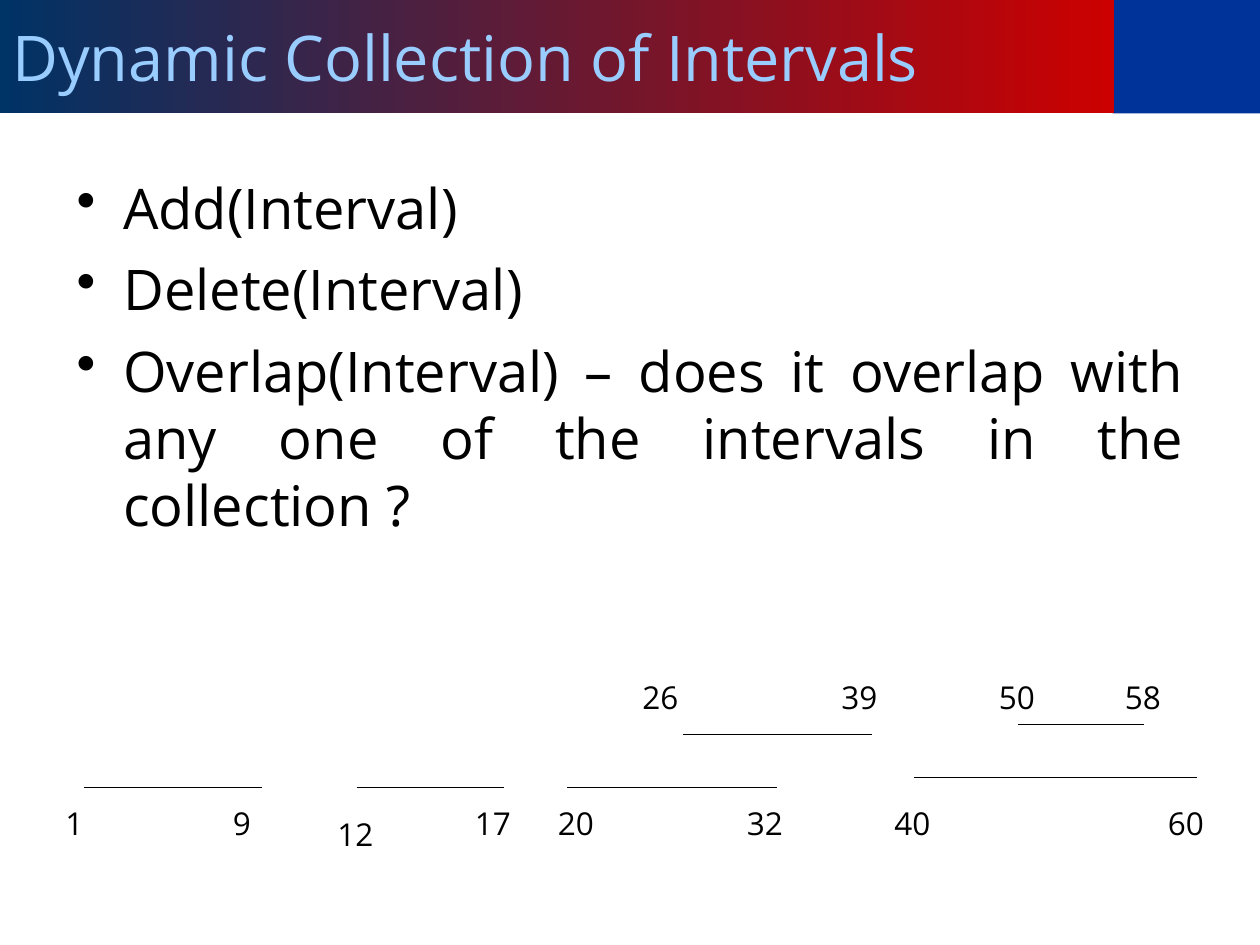
"""Build the slide on a dynamic collection of intervals."""
from dataclasses import dataclass

import lxml.etree
import pptx
import pptx.dml.color
import pptx.enum.shapes
import pptx.enum.text
import pptx.oxml.ns
import pptx.util

Inches = pptx.util.Inches
Pt = pptx.util.Pt
PP_ALIGN = pptx.enum.text.PP_ALIGN
FONT = "Open Sans"
COLORS = {"blue": "003399", "navy": "003366", "red": "CC0000",
          "title": "99CCFF", "ink": "000000"}


@dataclass
class Label:
    text: str
    left: float
    top: float = 6.33
    width: float = 0.52


@dataclass
class Interval:
    left: float
    right: float
    height: float
    start: Label
    end: Label


UPPER = 5.33
INTERVALS = [
    Interval(0.67, 2.08, 6.25, Label("1", 0.42, width=0.36), Label("9", 1.75)),
    Interval(2.83, 4, 6.25, Label("12", 2.58, 6.42), Label("17", 3.67)),
    Interval(4.5, 6.17, 6.25, Label("20", 4.33), Label("32", 5.83)),
    Interval(5.42, 6.92, 5.83, Label("26", 5, UPPER), Label("39", 6.58, UPPER)),
    Interval(7.25, 9.5, 6.17, Label("40", 7), Label("60", 9.17)),
    Interval(8.08, 9.08, 5.75, Label("50", 7.83, UPPER), Label("58", 8.83, UPPER)),
]
OPERATIONS = [
    "Add(Interval)",
    "Delete(Interval)",
    "Overlap(Interval) – does it overlap with any one of the intervals in the collection ?",
]


def color(name: str) -> pptx.dml.color.RGBColor:
    return pptx.dml.color.RGBColor.from_string(COLORS[name])


def write(para, text: str, *, size: float, ink: str = "ink",
          align=PP_ALIGN.LEFT, before: float = 0, bullet: str = "") -> None:
    para.alignment = align
    para.space_before = Pt(before)
    span = para.add_run()
    span.text = text
    span.font.name = FONT
    span.font.size = Pt(size)
    span.font.color.rgb = color(ink)
    if bullet:
        properties = para._p.get_or_add_pPr()
        properties.set("marL", str(Inches(0.38)))
        properties.set("indent", str(Inches(-0.37)))
        mark = lxml.etree.SubElement(properties, pptx.oxml.ns.qn("a:buChar"))
        mark.set("char", bullet)


def add_bar(page, left: float, width: float):
    bar = page.shapes.add_shape(pptx.enum.shapes.MSO_SHAPE.RECTANGLE,
                                Inches(left), 0, Inches(width), Inches(0.9))
    bar.shadow.inherit = False
    bar.line.fill.background()
    return bar


def add_header(page) -> None:
    corner = add_bar(page, 8.83, 1.17)
    corner.fill.solid()
    corner.fill.fore_color.rgb = color("blue")
    title = add_bar(page, 0, 8.84)
    title.fill.gradient()
    title.fill.gradient_angle = 180
    for stop, name in zip(title.fill.gradient_stops, ("red", "navy")):
        stop.color.rgb = color(name)
    title.text_frame.word_wrap = True
    title.text_frame.vertical_anchor = pptx.enum.text.MSO_ANCHOR.MIDDLE
    write(title.text_frame.paragraphs[0], "Dynamic Collection of Intervals",
          size=36, ink="title")


def add_operations(page) -> None:
    box = page.shapes.add_textbox(Inches(0.5), Inches(1.33), Inches(9), Inches(5.37))
    frame = box.text_frame
    frame.word_wrap = True
    for index, text in enumerate(OPERATIONS):
        para = frame.add_paragraph() if index else frame.paragraphs[0]
        write(para, text, size=32, align=PP_ALIGN.JUSTIFY, before=8, bullet="•")


def add_label(page, label: Label) -> None:
    box = page.shapes.add_textbox(Inches(label.left), Inches(label.top),
                                  Inches(label.width), Inches(0.4))
    box.text_frame.word_wrap = True
    write(box.text_frame.paragraphs[0], label.text, size=18)


def add_interval(page, interval: Interval) -> None:
    height = Inches(interval.height)
    line = page.shapes.add_connector(pptx.enum.shapes.MSO_CONNECTOR.STRAIGHT,
                                     Inches(interval.left), height,
                                     Inches(interval.right), height)
    line.line.color.rgb = color("ink")
    line.line.width = Pt(0.75)
    lxml.etree.SubElement(line._element.spPr, pptx.oxml.ns.qn("a:effectLst"))
    add_label(page, interval.start)
    add_label(page, interval.end)


def main() -> None:
    deck = pptx.Presentation()
    deck.slide_width, deck.slide_height = Inches(10), Inches(7.5)
    page = deck.slides.add_slide(deck.slide_layouts[6])
    add_header(page)
    add_operations(page)
    for interval in INTERVALS:
        add_interval(page, interval)
    deck.save("out.pptx")


main()
